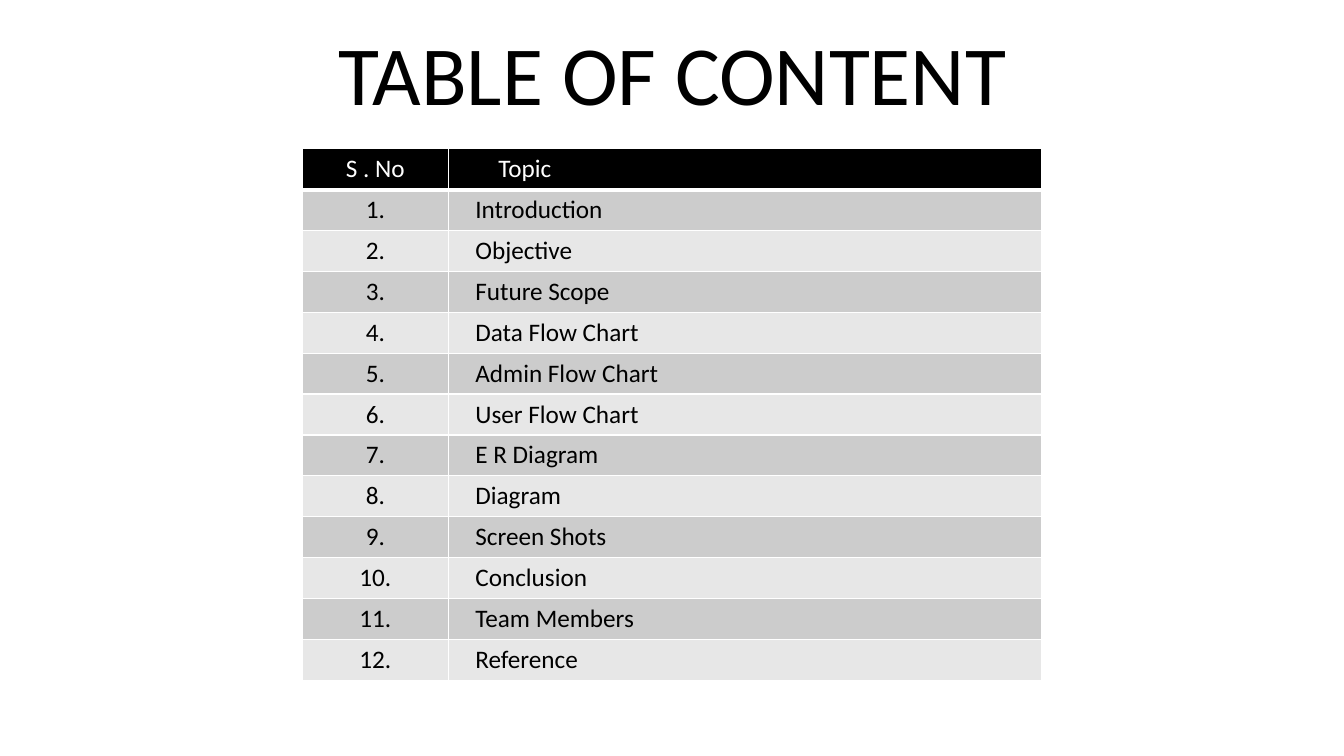
import pptx
import pptx.dml.color
import pptx.enum.text
import pptx.util
from lxml import etree
from pptx.oxml.ns import qn

Cm = pptx.util.Cm
Pt = pptx.util.Pt
ALIGN = pptx.enum.text.PP_ALIGN
ANCHOR = pptx.enum.text.MSO_ANCHOR

FONT = "Calibri"
BLACK, WHITE = "000000", "FFFFFF"
BANDS = ("CCCCCC", "E7E7E7")
TOPICS = (
    "Introduction", "Objective", "Future Scope", "Data Flow Chart",
    "Admin Flow Chart", "User Flow Chart", "E R Diagram", "Diagram",
    "Screen Shots", "Conclusion", "Team Members", "Reference",
)


def color(code):
    return pptx.dml.color.RGBColor.from_string(code)


def write(frame, text, size, shade, align):
    par = frame.paragraphs[0]
    par.alignment = align
    run = par.add_run()
    run.text = text
    font = run.font
    font.name, font.size, font.bold = FONT, Pt(size), False
    font.color.rgb = color(shade)


def border(cell, top, bottom):
    """Draw white cell edges; top and bottom are widths in points."""
    props = cell._tc.get_or_add_tcPr()
    for tag, width in (("lnL", 1), ("lnR", 1), ("lnT", top), ("lnB", bottom)):
        line = etree.SubElement(props, qn("a:" + tag), w=str(Pt(width)))
        fill = etree.SubElement(line, qn("a:solidFill"))
        etree.SubElement(fill, qn("a:srgbClr"), val=WHITE)


def add_title(slide, left, top, width, height):
    box = slide.shapes.add_textbox(Cm(left), Cm(top), Cm(width), Cm(height))
    box.text_frame.word_wrap = False
    write(box.text_frame, "TABLE OF CONTENT", 60, BLACK, ALIGN.CENTER)


def add_topics(slide, left, top, width, height):
    rows = [("S . No", "Topic")]
    rows += [(f"{num}.", topic) for num, topic in enumerate(TOPICS, 1)]
    table = slide.shapes.add_table(
        len(rows), 2, Cm(left), Cm(top), Cm(width), Cm(height)).table
    first = 3.68
    table.columns[0].width = Cm(first)
    table.columns[1].width = Cm(width - first)

    for i, texts in enumerate(rows):
        head = i == 0
        table.rows[i].height = Cm(height / len(rows))
        for j, text in enumerate(texts):
            cell = table.cell(i, j)
            border(cell, 3 if i == 1 else 1, 3 if head else 1)
            cell.fill.solid()
            cell.fill.fore_color.rgb = color(BLACK if head else BANDS[(i - 1) % 2])
            cell.vertical_anchor = ANCHOR.TOP
            if j == 1:
                cell.margin_left = Cm(1.26 if head else 0.68)
            write(cell.text_frame, text, 18, WHITE if head else BLACK,
                  ALIGN.LEFT if j else ALIGN.CENTER)


def main():
    deck = pptx.Presentation()
    deck.slide_width, deck.slide_height = Cm(33.87), Cm(19.05)
    slide = deck.slides.add_slide(deck.slide_layouts[6])
    add_topics(slide, 7.62, 3.75, 18.63, 13.39)
    add_title(slide, 8.18, 0.41, 17.53, 2.82)
    deck.save("out.pptx")


if __name__ == "__main__":
    main()
